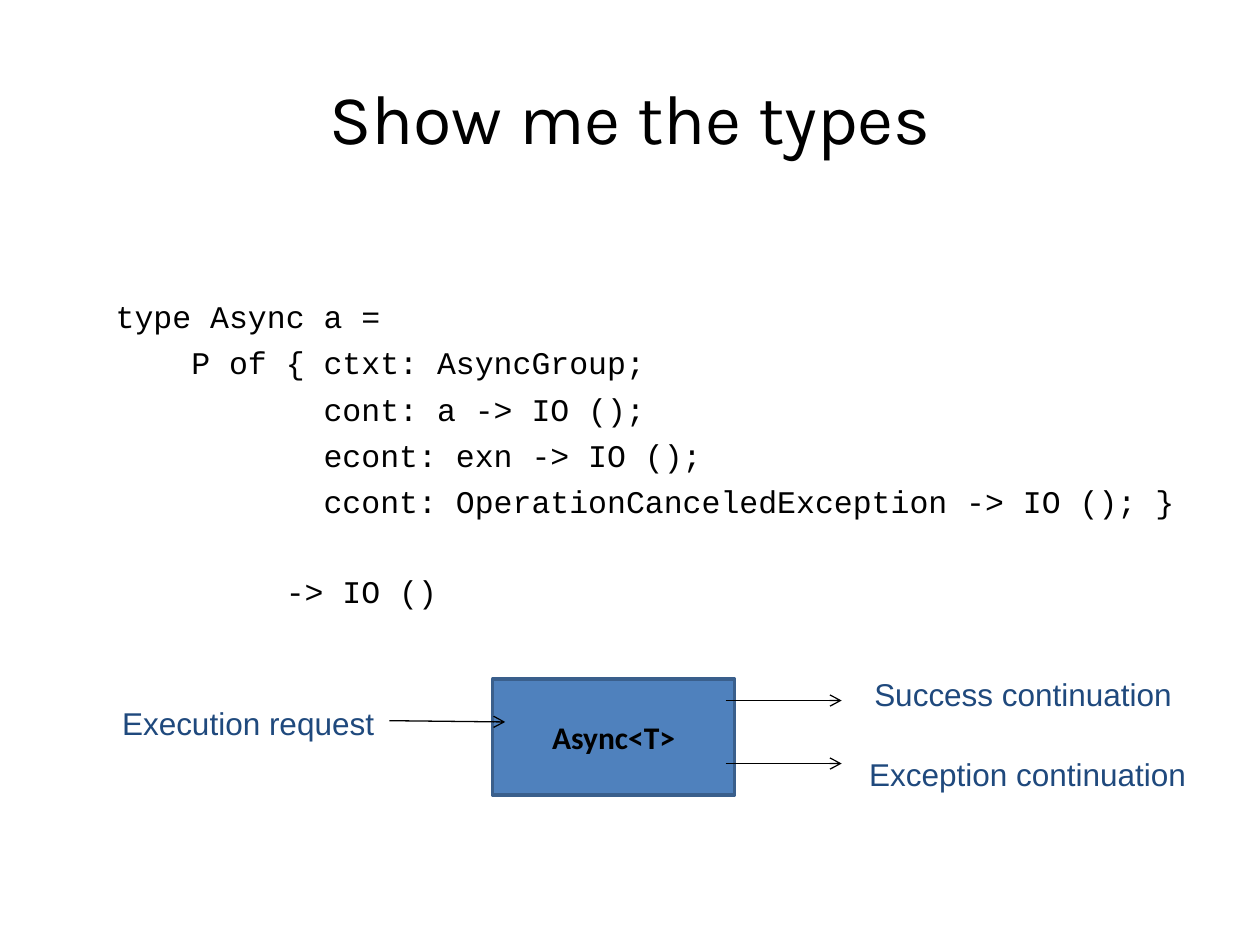
"""Build the slide on the types behind Async, with code and a flow diagram."""
from lxml import etree
from pptx import Presentation
from pptx.dml.color import RGBColor
from pptx.enum.shapes import MSO_CONNECTOR, MSO_SHAPE
from pptx.enum.text import MSO_ANCHOR, PP_ALIGN
from pptx.oxml.ns import qn
from pptx.util import Inches, Pt

BLACK = RGBColor(0x00, 0x00, 0x00)
BLUE = RGBColor(0x4F, 0x81, 0xBD)
EDGE = RGBColor(0x3A, 0x5F, 0x8C)
NAVY = RGBColor(0x1F, 0x49, 0x7D)

CODE = [
    ("type Async a =", 0),
    ("    P of { ctxt: AsyncGroup;", 4.8),
    ("           cont: a -> IO ();", 4.8),
    ("           econt: exn -> IO ();", 4.8),
    ("           ccont: OperationCanceledException -> IO (); }", 4.8),
    ("         -> IO ()", 30),
]
LABELS = [
    ("Execution request", 0.87, 5.54, 2.22),
    ("Success continuation", 6.84, 5.31, 2.59),
    ("Exception continuation", 6.8, 5.94, 2.74),
]
ARROWS = [(3.09, 5.72, 5.73), (5.76, 5.56, 5.56), (5.76, 6.06, 6.06)]


def style(para, face, size, color, bold=False):
    for run in para.runs:
        font = run.font
        font.name = face
        font.size = Pt(size)
        font.bold = bold
        font.color.rgb = color


def add_text(left, top, width, height, wrap=True):
    box = slide.shapes.add_textbox(
        Inches(left), Inches(top), Inches(width), Inches(height))
    box.text_frame.word_wrap = wrap
    return box.text_frame


deck = Presentation()
deck.slide_width = Inches(10)
deck.slide_height = Inches(7.5)
slide = deck.slides.add_slide(deck.slide_layouts[6])

title = add_text(0.5, 0.3, 9, 1.25)
title.vertical_anchor = MSO_ANCHOR.MIDDLE
title.text = "Show me the types"
title.paragraphs[0].alignment = PP_ALIGN.CENTER
style(title.paragraphs[0], "Karla", 40, BLACK)

code = add_text(0.82, 2.31, 8.77, 2.6)
code.text = "\n".join(line for line, gap in CODE)
for para, (line, gap) in zip(code.paragraphs, CODE):
    para.space_before = Pt(gap)
    style(para, "Courier New", 18, BLACK)

block = slide.shapes.add_shape(
    MSO_SHAPE.RECTANGLE, Inches(3.91), Inches(5.39), Inches(1.92), Inches(0.92))
block.shadow.inherit = False
block.fill.solid()
block.fill.fore_color.rgb = BLUE
block.line.color.rgb = EDGE
block.line.width = Pt(2)
block.text_frame.vertical_anchor = MSO_ANCHOR.MIDDLE
block.text_frame.text = "Async<T>"
block.text_frame.paragraphs[0].alignment = PP_ALIGN.CENTER
style(block.text_frame.paragraphs[0], "Calibri", 18, BLACK, True)

for left, start, end in ARROWS:
    arrow = slide.shapes.add_connector(
        MSO_CONNECTOR.STRAIGHT,
        Inches(left), Inches(start), Inches(left + 0.92), Inches(end))
    arrow.line.color.rgb = BLACK
    arrow.line.width = Pt(0.75)
    props = arrow._element.spPr
    etree.SubElement(props.find(qn("a:ln")), qn("a:tailEnd"), type="arrow")
    etree.SubElement(props, qn("a:effectLst"))

for words, left, top, width in LABELS:
    label = add_text(left, top, width, 0.4, False)
    label.text = words
    style(label.paragraphs[0], "Arial", 18, NAVY)

deck.save("out.pptx")
